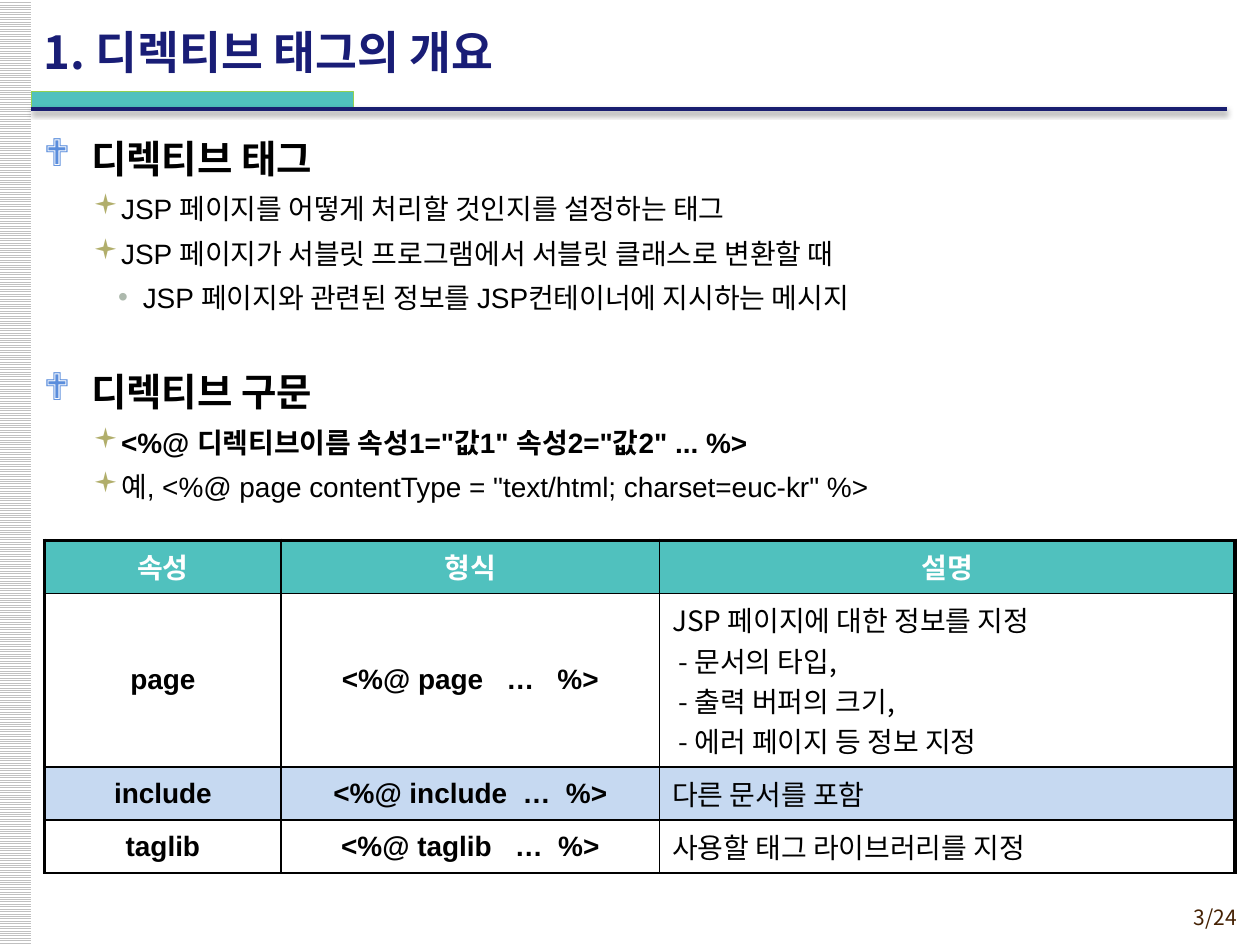
from lxml.etree import SubElement
from pptx import Presentation
from pptx.dml.color import RGBColor
from pptx.enum.dml import MSO_PATTERN
from pptx.enum.shapes import MSO_CONNECTOR, MSO_SHAPE
from pptx.enum.text import MSO_ANCHOR, PP_ALIGN
from pptx.oxml import parse_xml
from pptx.oxml.ns import nsdecls, qn
from pptx.util import Cm, Pt


class Theme:
    latin = "Arial"
    korean = "Noto Sans CJK KR"
    title_size, heading_size, text_size, page_size = Pt(26), Pt(22), Pt(16), Pt(12)
    black = RGBColor.from_string("000000")
    white = RGBColor.from_string("FFFFFF")
    stripe = RGBColor.from_string("C0C0C0")
    teal = RGBColor.from_string("50C1BE")
    green = RGBColor.from_string("92D050")
    rule = RGBColor.from_string("191E70")
    title = RGBColor.from_string("191D76")
    page = RGBColor.from_string("452103")
    highlight = RGBColor.from_string("C6D9F1")
    bullets = [("❖", "5A8DDC", "Wingdings"), ("▪", "B1AE6B", "Wingdings"), ("•", "ADB9AD", "Arial")]


def style(paragraph, size, color, bold=False, typeface=Theme.latin):
    for run in paragraph.runs:
        run.font.size = size
        run.font.bold = bold
        run.font.color.rgb = color
        run.font.name = typeface
        run.font._element.set("kern", "0")
        SubElement(run.font._element, qn("a:ea"), typeface=Theme.korean)


def add_text_frame(left, top, width, height):
    frame = slide.shapes.add_textbox(Cm(left), Cm(top), Cm(width), Cm(height)).text_frame
    frame.word_wrap = True
    return frame


deck = Presentation()
deck.slide_width, deck.slide_height = Cm(25.4), Cm(19.05)
slide = deck.slides.add_slide(deck.slide_layouts[6])

side_strip = slide.shapes.add_shape(MSO_SHAPE.RECTANGLE, Cm(-0.03), Cm(0), Cm(0.66), Cm(19.05))
side_strip.shadow.inherit = False
side_strip.fill.patterned()
side_strip.fill.pattern = MSO_PATTERN.LIGHT_HORIZONTAL
side_strip.fill.fore_color.rgb = Theme.stripe
side_strip.fill.back_color.rgb = Theme.white
side_strip.line.fill.background()

page_number = add_text_frame(22.5, 18.11, 2.69, 0.74)
page_number.text = "3/24"
page_number.paragraphs[0].alignment = PP_ALIGN.RIGHT
style(page_number.paragraphs[0], Theme.page_size, Theme.page, typeface=Theme.korean)

title_accent = slide.shapes.add_shape(MSO_SHAPE.RECTANGLE, Cm(0.63), Cm(1.85), Cm(6.5), Cm(0.35))
title_accent.shadow.inherit = False
title_accent.fill.solid()
title_accent.fill.fore_color.rgb = Theme.teal
title_accent.line.color.rgb = Theme.green
title_accent.line.width = Pt(0.75)

title_rule = slide.shapes.add_connector(MSO_CONNECTOR.STRAIGHT, Cm(0.63), Cm(2.2), Cm(24.73), Cm(2.2))
title_rule.line.color.rgb = Theme.rule
title_rule.line.width = Pt(2)
title_rule._element.spPr.append(parse_xml(
    f'<a:effectLst {nsdecls("a")}><a:outerShdw blurRad="{Pt(3.1)}" dist="{Pt(1.6)}" '
    'dir="5400000" rotWithShape="0"><a:srgbClr val="000000"><a:alpha val="38000"/>'
    '</a:srgbClr></a:outerShdw></a:effectLst>'))

title = add_text_frame(0.63, 0.23, 21, 1.6)
title.vertical_anchor = MSO_ANCHOR.MIDDLE
title.text = "1. 디렉티브 태그의 개요"
style(title.paragraphs[0], Theme.title_size, Theme.title, True, Theme.korean)

outline = [
    (0, "디렉티브 태그", True),
    (1, "JSP 페이지를 어떻게 처리할 것인지를 설정하는 태그", False),
    (1, "JSP 페이지가 서블릿 프로그램에서 서블릿 클래스로 변환할 때", False),
    (2, "JSP 페이지와 관련된 정보를 JSP컨테이너에 지시하는 메시지", False),
    (0, "디렉티브 구문", True),
    (1, '<%@ 디렉티브이름 속성1="값1" 속성2="값2" ... %>', True),
    (1, '예, <%@ page contentType = "text/html; charset=euc-kr" %>', False),
]
indents = [(0.96, -0.96), (1.5, -0.5), (2, -0.5)]
body = add_text_frame(0.63, 2.59, 24.13, 8)
for number, (level, line, bold) in enumerate(outline):
    paragraph = body.add_paragraph() if number else body.paragraphs[0]
    paragraph.text = line
    paragraph.level = level
    paragraph.line_spacing = 1.1 if level else 1.0
    paragraph.space_after = Pt(1)
    if number:
        paragraph.space_before = Pt(3.3 if level else 30)
    margin, hanging = indents[level]
    symbol, symbol_color, symbol_font = Theme.bullets[level]
    properties = paragraph._p.get_or_add_pPr()
    properties.set("marL", str(Cm(margin)))
    properties.set("indent", str(Cm(hanging)))
    SubElement(SubElement(properties, qn("a:buClr")), qn("a:srgbClr"), val=symbol_color)
    SubElement(properties, qn("a:buFont"), typeface=symbol_font)
    SubElement(properties, qn("a:buChar"), char=symbol)
    style(paragraph, Theme.text_size if level else Theme.heading_size, Theme.black, bold)

directives = [
    ("속성", "형식", "설명"),
    ("page", "<%@ page   …   %>",
     "JSP 페이지에 대한 정보를 지정\n- 문서의 타입,\n- 출력 버퍼의 크기,\n- 에러 페이지 등 정보 지정"),
    ("include", "<%@ include  …  %>", "다른 문서를 포함"),
    ("taglib", "<%@ taglib   …  %>", "사용할 태그 라이브러리를 지정"),
]
row_fills = [Theme.teal, Theme.white, Theme.highlight, Theme.white]
table = slide.shapes.add_table(4, 3, Cm(0.9), Cm(10.89), Cm(24), Cm(6.71)).table
table.horz_banding = False
for column, width in zip(table.columns, (4.77, 7.63, 11.6)):
    column.width = Cm(width)
for row, height in zip(table.rows, (1.07, 3.5, 1.07, 1.07)):
    row.height = Cm(height)

for r, entries in enumerate(directives):
    for c, entry in enumerate(entries):
        cell = table.cell(r, c)
        cell.text = entry
        cell.vertical_anchor = MSO_ANCHOR.MIDDLE
        is_header, is_description = r == 0, r > 0 and c == 2
        for paragraph in cell.text_frame.paragraphs:
            paragraph.alignment = PP_ALIGN.LEFT if is_description else PP_ALIGN.CENTER
            if paragraph.text.startswith("-"):
                paragraph._p.get_or_add_pPr().set("marL", str(Cm(0.13)))
            style(paragraph, Theme.text_size, Theme.white if is_header else Theme.black,
                  not is_description, Theme.korean if is_description else Theme.latin)
        for side, is_outer in (("L", c == 0), ("R", c == 2), ("T", is_header), ("B", False)):
            border = SubElement(cell._tc.get_or_add_tcPr(), qn(f"a:ln{side}"),
                                w=str(Pt(2.25 if is_outer else 1)))
            SubElement(SubElement(border, qn("a:solidFill")), qn("a:srgbClr"), val=str(Theme.black))
        cell.fill.solid()
        cell.fill.fore_color.rgb = row_fills[r]

deck.save("out.pptx")
